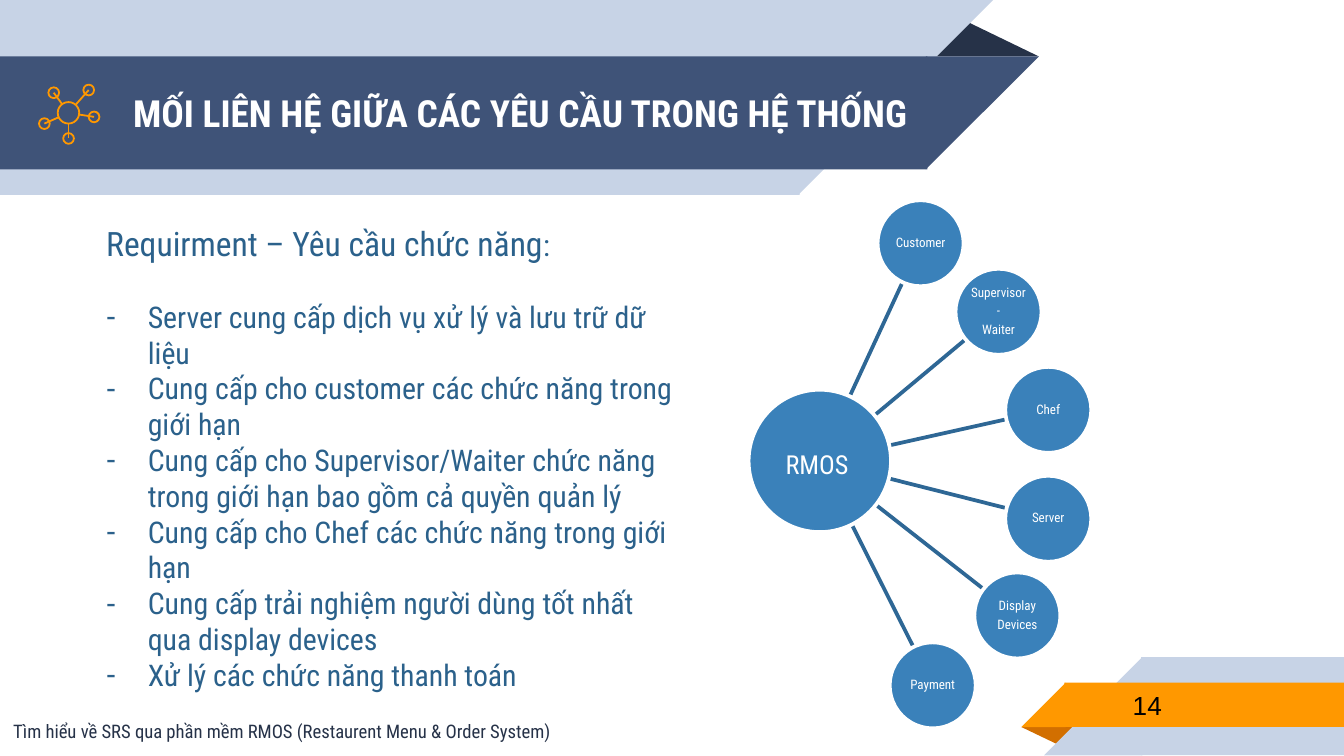
from dataclasses import dataclass
from math import hypot

from lxml.etree import SubElement
from pptx import Presentation
from pptx.dml.color import RGBColor
from pptx.enum.shapes import MSO_CONNECTOR, MSO_SHAPE
from pptx.enum.text import MSO_ANCHOR, MSO_AUTO_SIZE, PP_ALIGN
from pptx.oxml.ns import qn
from pptx.util import Inches, Pt


@dataclass(frozen=True)
class Theme:
    font: str = "Roboto Condensed"
    number_font: str = "Arial"
    white: str = "FFFFFF"
    black: str = "000000"
    ink: str = "263248"
    navy: str = "3F5378"
    pale: str = "C7D3E6"
    orange: str = "FF9800"
    dark_orange: str = "D26F00"
    circle: str = "3A81BA"
    spoke: str = "2E6795"
    body: str = "2B618B"
    title_size: float = 20
    heading_size: float = 18
    body_size: float = 16
    hub_size: float = 14
    footer_size: float = 10
    node_size: float = 7


@dataclass(frozen=True)
class Box:
    x: float
    y: float
    w: float
    h: float

    def emu(self):
        return [Inches(v) for v in (self.x, self.y, self.w, self.h)]


THEME = Theme()

REQUIREMENTS = [
    "Server cung cấp dịch vụ xử lý và lưu trữ dữ liệu",
    "Cung cấp cho customer các chức năng trong giới hạn",
    "Cung cấp cho Supervisor/Waiter chức năng trong giới hạn bao gồm cả quyền quản lý",
    "Cung cấp cho Chef các chức năng trong giới hạn",
    "Cung cấp trải nghiệm người dùng tốt nhất qua display devices",
    "Xử lý các chức năng thanh toán",
]

# Label and centre, relative to the diagram's box
ACTORS = [
    ("Customer", 1.28, 0.32),
    ("Supervisor\n-\nWaiter", 1.86, 0.83),
    ("Chef", 2.23, 1.56),
    ("Server", 2.23, 2.37),
    ("Display\nDevices", 2.00, 3.09),
    ("Payment", 1.37, 3.61),
]

# Node centres, relative to the icon's box
ICON_NODES = [(0.37, 0.04), (0.11, 0.06), (0.04, 0.29), (0.22, 0.40), (0.41, 0.24)]


def rgb(value):
    return RGBColor.from_string(value)


def add_shape(slide, kind, box, fill=None, line=None, width=1.0, flip=None):
    shape = slide.shapes.add_shape(kind, *box.emu())
    shape.shadow.inherit = False
    if fill:
        shape.fill.solid()
        shape.fill.fore_color.rgb = rgb(fill)
    else:
        shape.fill.background()
    if line:
        shape.line.color.rgb = rgb(line)
        shape.line.width = Pt(width)
    else:
        shape.line.fill.background()
    if flip:
        shape._element.spPr.find(qn("a:xfrm")).set(flip, "1")
    return shape


def add_circle(slide, x, y, radius, **look):
    box = Box(x - radius, y - radius, 2 * radius, 2 * radius)
    return add_shape(slide, MSO_SHAPE.OVAL, box, **look)


def add_spoke(slide, start, end, start_gap, end_gap, color, width):
    """Line between two centres, shortened by a gap at each end."""
    (x1, y1), (x2, y2) = start, end
    length = hypot(x2 - x1, y2 - y1)
    ux, uy = (x2 - x1) / length, (y2 - y1) / length
    points = (x1 + ux * start_gap, y1 + uy * start_gap,
              x2 - ux * end_gap, y2 - uy * end_gap)
    spoke = slide.shapes.add_connector(MSO_CONNECTOR.STRAIGHT, *map(Inches, points))
    spoke.line.color.rgb = rgb(color)
    spoke.line.width = Pt(width)
    SubElement(spoke._element.spPr, qn("a:effectLst"))


def style(paragraph, size, color, font=THEME.font, bold=False):
    paragraph.font.size = Pt(size)
    paragraph.font.name = font
    paragraph.font.bold = bold
    paragraph.font.color.rgb = rgb(color)


def set_frame(frame, inset_x, inset_y, anchor=MSO_ANCHOR.TOP):
    frame.word_wrap = True
    frame.auto_size = MSO_AUTO_SIZE.NONE
    frame.vertical_anchor = anchor
    frame.margin_left = frame.margin_right = Inches(inset_x)
    frame.margin_top = frame.margin_bottom = Inches(inset_y)


def place(shape, box):
    shape.left, shape.top, shape.width, shape.height = box.emu()


def add_label(slide, box, text, size, color, font=THEME.font, inset_y=0.1,
              anchor=MSO_ANCHOR.TOP, align=PP_ALIGN.LEFT, spacing=1.0):
    frame = slide.shapes.add_textbox(*box.emu()).text_frame
    set_frame(frame, 0.1, inset_y, anchor)
    paragraph = frame.paragraphs[0]
    paragraph.text = text
    paragraph.alignment = align
    paragraph.line_spacing = spacing
    style(paragraph, size, color, font)


def add_band(slide, box, color, flip):
    """Bar with a 45° end: on the right for flipV, on the left for flipH."""
    slant, overlap = box.h, 0.01
    bar_w = box.w - slant
    if flip == "flipV":
        bar_x, end_x = box.x, box.x + bar_w
    else:
        bar_x, end_x = box.x + slant - overlap, box.x
    add_shape(slide, MSO_SHAPE.RECTANGLE, Box(bar_x, box.y, bar_w + overlap, box.h), color)
    add_shape(slide, MSO_SHAPE.RIGHT_TRIANGLE, Box(end_x, box.y, slant, box.h),
              color, flip=flip)


def add_fold(slide, box, color, rotation=0):
    fold = add_shape(slide, MSO_SHAPE.ISOSCELES_TRIANGLE, box, color)
    fold.adjustments[0] = 0.32
    fold.rotation = rotation


def add_header(slide, box):
    add_fold(slide, Box(box.x + 6.88, box.y + 0.14, 0.85, 0.28), THEME.ink)
    add_band(slide, Box(box.x, box.y, 7.39, box.h), THEME.pale, "flipV")
    add_band(slide, Box(box.x, box.y + 0.42, box.w, 0.84), THEME.navy, "flipV")
    title = slide.shapes.title
    slide.shapes._spTree.append(title._element)  # in front of the bands
    place(title, Box(box.x + 0.89, box.y + 0.43, 6.2, 0.82))
    set_frame(title.text_frame, 0.1, 0.1, MSO_ANCHOR.MIDDLE)
    paragraph = title.text_frame.paragraphs[0]
    paragraph.text = "MỐI LIÊN HỆ GIỮA CÁC YÊU CẦU TRONG HỆ THỐNG"
    paragraph.alignment = PP_ALIGN.LEFT
    style(paragraph, THEME.title_size, THEME.white, bold=True)
    add_network_icon(slide, Box(box.x + 0.29, box.y + 0.63, 0.45, 0.43))


def add_network_icon(slide, box):
    hub = (box.x + 0.22, box.y + 0.21)
    look = {"line": THEME.orange, "width": 0.96}
    add_circle(slide, *hub, 0.08, **look)
    for dx, dy in ICON_NODES:
        node = (box.x + dx, box.y + dy)
        add_circle(slide, *node, 0.04, **look)
        add_spoke(slide, hub, node, 0.08, 0, THEME.orange, 0.96)


def add_page_corner(slide, box):
    add_fold(slide, Box(box.x, box.y + 0.52, 0.43, 0.14), THEME.dark_orange, 180)
    add_band(slide, Box(box.x + 0.17, box.y, box.w - 0.17, box.h), THEME.pale, "flipH")
    add_band(slide, Box(box.x, box.y + 0.19, box.w, 0.33), THEME.orange, "flipH")
    add_label(slide, Box(box.x + 0.73, box.y + 0.18, 1.63, 0.35), "14", THEME.hub_size,
              THEME.black, THEME.number_font, anchor=MSO_ANCHOR.MIDDLE)


def add_requirements(slide, box):
    body = slide.placeholders[1]
    place(body, box)
    frame = body.text_frame
    set_frame(frame, 0.1, 0.05)
    heading = frame.paragraphs[0]
    heading.add_run().text = "Requirment – Yêu cầu chức năng"
    colon = heading.add_run()
    colon.text = ":"
    colon.font.size = Pt(THEME.body_size)
    for text in REQUIREMENTS:
        frame.add_paragraph().text = text
    for index, paragraph in enumerate(frame.paragraphs):
        is_heading = index == 0
        paragraph.alignment = PP_ALIGN.LEFT
        paragraph.line_spacing = 1.0
        paragraph.space_before = Pt(0)
        paragraph.space_after = Pt(18.75 if is_heading else 0)
        properties = paragraph._p.get_or_add_pPr()
        indent = 0 if is_heading else Inches(0.31)
        properties.set("marL", str(indent))
        properties.set("indent", str(-indent))
        if is_heading:
            SubElement(properties, qn("a:buNone"))
        else:
            SubElement(properties, qn("a:buChar")).set("char", "-")
        style(paragraph, THEME.heading_size if is_heading else THEME.body_size, THEME.body)


def add_actor_diagram(slide, box):
    hub = (box.x + 0.53, box.y + 1.94)
    hub_radius, actor_radius = 0.53, 0.32
    look = {"fill": THEME.circle, "line": THEME.white, "width": 2}
    for _, dx, dy in ACTORS:
        add_spoke(slide, hub, (box.x + dx, box.y + dy), 0.4, actor_radius, THEME.spoke, 2)
    add_circle(slide, *hub, hub_radius, **look)
    for name, dx, dy in ACTORS:
        frame = add_circle(slide, box.x + dx, box.y + dy, actor_radius, **look).text_frame
        set_frame(frame, 0, 0, MSO_ANCHOR.MIDDLE)
        frame.text = name
        for paragraph in frame.paragraphs:
            paragraph.alignment = PP_ALIGN.CENTER
            paragraph.line_spacing = 0.9
            paragraph.space_after = Pt(2.45)
            style(paragraph, THEME.node_size, THEME.white)
    add_label(slide, Box(box.x + 0.16, box.y + 1.8, 0.7, 0.34), "RMOS", THEME.hub_size,
              THEME.white, inset_y=0.05, align=PP_ALIGN.CENTER)


def main():
    deck = Presentation()
    deck.slide_width = Inches(10)
    deck.slide_height = deck.slide_width * 9 // 16
    slide = deck.slides.add_slide(deck.slide_layouts[1])
    add_header(slide, Box(0, 0, 7.73, 1.45))
    add_page_corner(slide, Box(7.6, 4.89, 2.4, 0.73))
    add_label(slide, Box(0, 5.17, 5.65, 0.45),
              "Tìm hiểu về SRS qua phần mềm RMOS (Restaurent Menu & Order System)",
              THEME.footer_size, THEME.ink, spacing=1.5)
    add_actor_diagram(slide, Box(5.57, 1.49, 2.55, 3.93))
    add_requirements(slide, Box(0.69, 1.61, 4.48, 3.6))
    deck.save("out.pptx")


if __name__ == "__main__":
    main()
